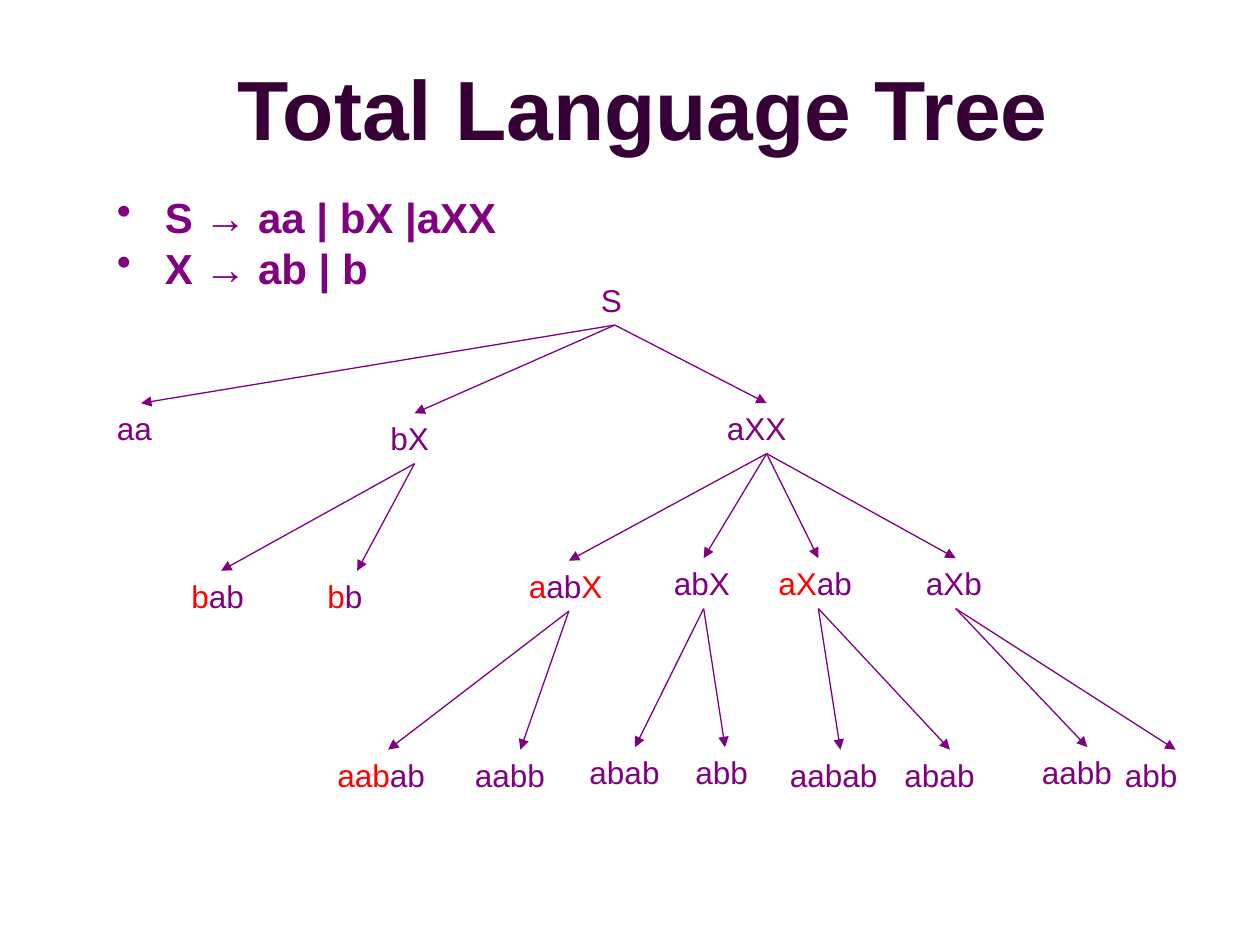
"""Build the Total Language Tree slide: grammar rules above a derivation tree."""
import pptx
import pptx.dml.color
import pptx.enum.shapes
import pptx.enum.text
import pptx.oxml
import pptx.oxml.ns
import pptx.util
from pptx.util import Inches

COLORS = {"title": "360036", "plain": "800080", "marked": "FF0000"}
FONT = "Arial"
NODE_HEIGHT = 0.4

TITLE = "Total Language Tree"
RULES = ["S → aa | bX |aXX", "X → ab | b"]


def plain(text):
    """Return the runs of a word with no marked part."""
    return [(text, "plain")]


# Each node: left, top, width, runs, children
TREE = (4.67, 2.18, 0.42, plain("S"), [
    (0.83, 3.2, 0.58, plain("aa"), []),
    (3, 3.28, 0.58, plain("bX"), [
        (1.42, 4.53, 0.67, [("b", "marked"), ("ab", "plain")], []),
        (2.5, 4.53, 0.67, [("b", "marked"), ("b", "plain")], []),
    ]),
    (5.67, 3.2, 0.83, plain("aXX"), [
        (4.1, 4.45, 0.83, [("a", "marked"), ("ab", "plain"), ("X", "marked")], [
            (2.58, 5.95, 1, [("aab", "marked"), ("ab", "plain")], []),
            (3.67, 5.95, 0.92, plain("aabb"), []),
        ]),
        (5.25, 4.43, 0.67, plain("abX"), [
            (4.58, 5.93, 0.92, plain("abab"), []),
            (5.42, 5.93, 0.67, plain("abb"), []),
        ]),
        (6.08, 4.43, 0.83, [("aX", "marked"), ("ab", "plain")], [
            (6.17, 5.95, 1, plain("aabab"), []),
            (7.08, 5.95, 0.92, plain("abab"), []),
        ]),
        (7.25, 4.43, 0.67, plain("aXb"), [
            (8.17, 5.93, 0.92, plain("aabb"), []),
            (8.83, 5.95, 1, plain("abb"), []),
        ]),
    ]),
])


def rgb(name):
    return pptx.dml.color.RGBColor.from_string(COLORS[name])


def add_frame(slide, left, top, width, height):
    frame = slide.shapes.add_textbox(
        Inches(left), Inches(top), Inches(width), Inches(height)).text_frame
    frame.word_wrap = True
    return frame


def add_runs(paragraph, runs, size, bold=False):
    for text, color in runs:
        run = paragraph.add_run()
        run.text = text
        run.font.name = FONT
        run.font.size = pptx.util.Pt(size)
        run.font.bold = bold
        run.font.color.rgb = rgb(color)


def add_title(slide):
    frame = add_frame(slide, 1.07, 0.25, 8.07, 1.19)
    frame.vertical_anchor = pptx.enum.text.MSO_ANCHOR.MIDDLE
    heading = frame.paragraphs[0]
    heading.alignment = pptx.enum.text.PP_ALIGN.CENTER
    add_runs(heading, [(TITLE, "title")], 48, bold=True)


def add_rules(slide):
    frame = add_frame(slide, 0.83, 1.55, 8.07, 0.86)
    for index, text in enumerate(RULES):
        rule = frame.add_paragraph() if index else frame.paragraphs[0]
        rule.line_spacing = 0.8
        if index:
            rule.space_before = pptx.util.Pt(6)
        properties = rule._p.get_or_add_pPr()
        properties.set("marL", str(Inches(0.38)))
        properties.set("indent", str(Inches(-0.38)))
        bullet = pptx.oxml.parse_xml(
            f'<a:buChar {pptx.oxml.ns.nsdecls("a")} char="•"/>')
        properties.append(bullet)
        add_runs(rule, plain(text), 24, bold=True)


def add_arrow(slide, parent, child):
    left, top, width = parent[:3]
    child_left, child_top, child_width = child[:3]
    arrow = slide.shapes.add_connector(
        pptx.enum.shapes.MSO_CONNECTOR.STRAIGHT,
        Inches(left + width / 2), Inches(top + NODE_HEIGHT),
        Inches(child_left + child_width / 2), Inches(child_top))
    arrow.line.color.rgb = rgb("plain")
    arrow.line.width = pptx.util.Pt(0.75)
    namespace = pptx.oxml.ns.nsdecls("a")
    arrow.line._get_or_add_ln().append(
        pptx.oxml.parse_xml(f'<a:tailEnd {namespace} type="triangle"/>'))
    arrow._element.spPr.append(pptx.oxml.parse_xml(f"<a:effectLst {namespace}/>"))


def add_tree(slide, node):
    left, top, width, runs, children = node
    frame = add_frame(slide, left, top, width, NODE_HEIGHT)
    add_runs(frame.paragraphs[0], runs, 18)
    for child in children:
        add_arrow(slide, node, child)
        add_tree(slide, child)


def main():
    deck = pptx.Presentation()
    deck.slide_width, deck.slide_height = Inches(10), Inches(7.5)
    slide = deck.slides.add_slide(deck.slide_layouts[6])
    add_title(slide)
    add_rules(slide)
    add_tree(slide, TREE)
    deck.save("out.pptx")


if __name__ == "__main__":
    main()
